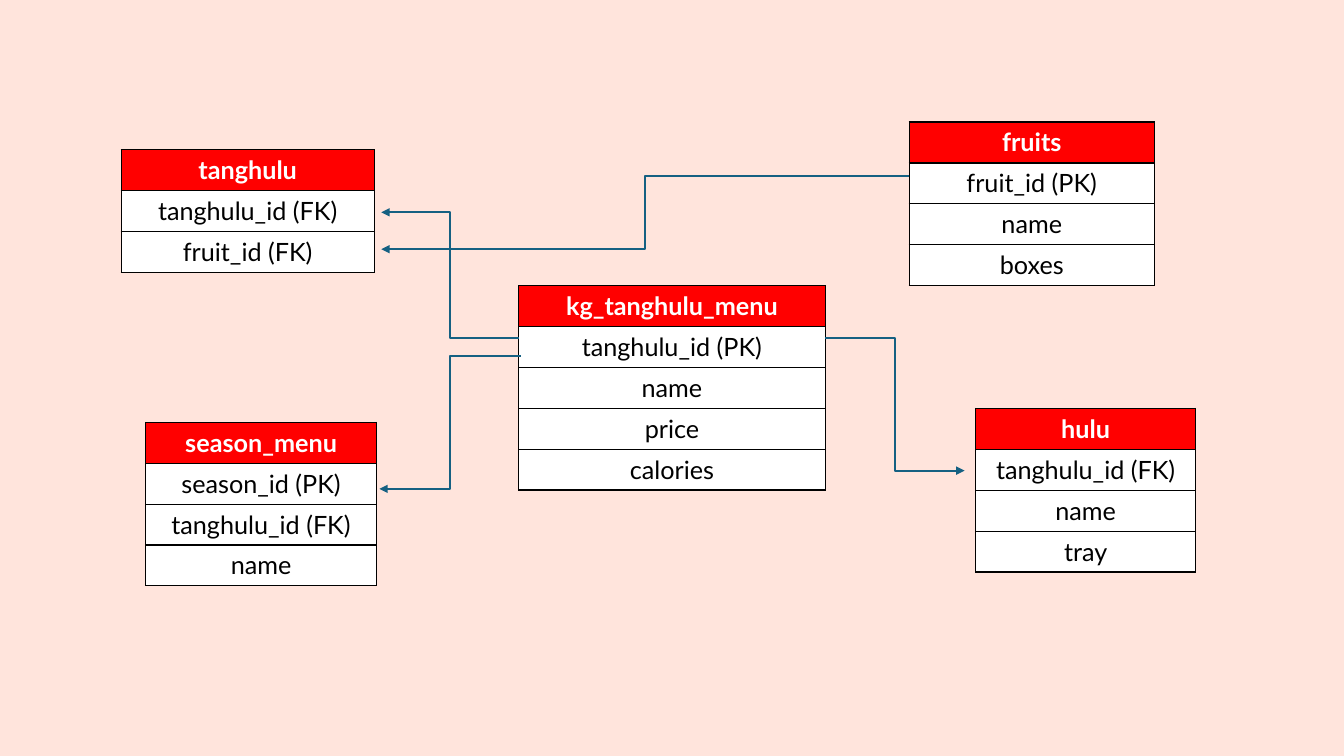
"""Draw the tanghulu shop database schema as linked entity tables."""
from dataclasses import dataclass

from lxml import etree
from pptx import Presentation
from pptx import util as u
from pptx.dml import color
from pptx.enum import shapes, text
from pptx.oxml import ns

COLORS = {
    "page": "FFE4DC",
    "header": "FF0000",
    "field": "FFFFFF",
    "header_text": "FFFFFF",
    "field_text": "000000",
    "border": "000000",
    "link": "156082",
}
ROW_HEIGHT = 29.2
FONT = {"name": "Lato", "size": u.Pt(18)}
PLAIN_TABLE = {"first_row": False, "horz_banding": False}


@dataclass
class Entity:
    left: float
    top: float
    width: float
    name: str
    fields: list[str]


@dataclass
class Link:
    start: tuple[float, float]
    end: tuple[float, float]


ENTITIES = [
    Entity(86.6, 107, 180.7, "tanghulu", ["tanghulu_id (FK)", "fruit_id (FK)"]),
    Entity(649.5, 87.2, 175, "fruits", ["fruit_id (PK)", "name", "boxes"]),
    Entity(370.5, 204, 219, "kg_tanghulu_menu",
           ["tanghulu_id (PK)", "name", "price", "calories"]),
    Entity(104.1, 301.7, 164.9, "season_menu",
           ["season_id (PK)", "tanghulu_id (FK)", "name"]),
    Entity(697, 291.8, 157, "hulu", ["tanghulu_id (FK)", "name", "tray"]),
]
LINKS = [
    Link((372, 254.2), (271, 349.2)),
    Link((370.5, 241.4), (272.4, 151.7)),
    Link((649.5, 125.8), (272.4, 178)),
    Link((589.5, 241.4), (689, 336.2)),
]


def rgb(name: str) -> color.RGBColor:
    return color.RGBColor.from_string(COLORS[name])


def apply_format(target: object, values: dict) -> None:
    for key, value in values.items():
        setattr(target, key, value)


def add_borders(cell) -> None:
    properties = cell._tc.get_or_add_tcPr()
    for side in ("lnL", "lnR", "lnT", "lnB"):
        line = etree.SubElement(properties, ns.qn(f"a:{side}"), w=str(u.Pt(1)))
        fill = etree.SubElement(line, ns.qn("a:solidFill"))
        etree.SubElement(fill, ns.qn("a:srgbClr"), val=COLORS["border"])


def fill_cell(cell, label: str, role: str) -> None:
    add_borders(cell)
    cell.fill.solid()
    cell.fill.fore_color.rgb = rgb(role)
    para = cell.text_frame.paragraphs[0]
    para.alignment = text.PP_ALIGN.CENTER
    span = para.add_run()
    span.text = label
    apply_format(span.font, FONT | {"bold": role == "header"})
    span.font.color.rgb = rgb(f"{role}_text")


def add_entity(page, entity: Entity) -> None:
    labels = [entity.name, *entity.fields]
    frame = page.shapes.add_table(
        len(labels), 1, u.Pt(entity.left), u.Pt(entity.top),
        u.Pt(entity.width), u.Pt(ROW_HEIGHT * len(labels)))
    table = frame.table
    apply_format(table, PLAIN_TABLE)
    for index, label in enumerate(labels):
        table.rows[index].height = u.Pt(ROW_HEIGHT)
        fill_cell(table.cell(index, 0), label, "field" if index else "header")


def add_link(page, link: Link) -> None:
    points = [u.Pt(value) for value in (*link.start, *link.end)]
    connector = page.shapes.add_connector(shapes.MSO_CONNECTOR.ELBOW, *points)
    connector.line.width = u.Pt(1.5)
    connector.line.color.rgb = rgb("link")
    properties = connector._element.spPr
    outline = properties.find(ns.qn("a:ln"))
    etree.SubElement(outline, ns.qn("a:tailEnd"), type="triangle")
    etree.SubElement(properties, ns.qn("a:effectLst"))


def main() -> None:
    deck = Presentation()
    apply_format(deck, {"slide_width": u.Pt(960), "slide_height": u.Pt(540)})
    page = deck.slides.add_slide(deck.slide_layouts[6])
    page.background.fill.solid()
    page.background.fill.fore_color.rgb = rgb("page")
    for entity in ENTITIES:
        add_entity(page, entity)
    for link in LINKS:
        add_link(page, link)
    deck.save("out.pptx")


if __name__ == "__main__":
    main()
